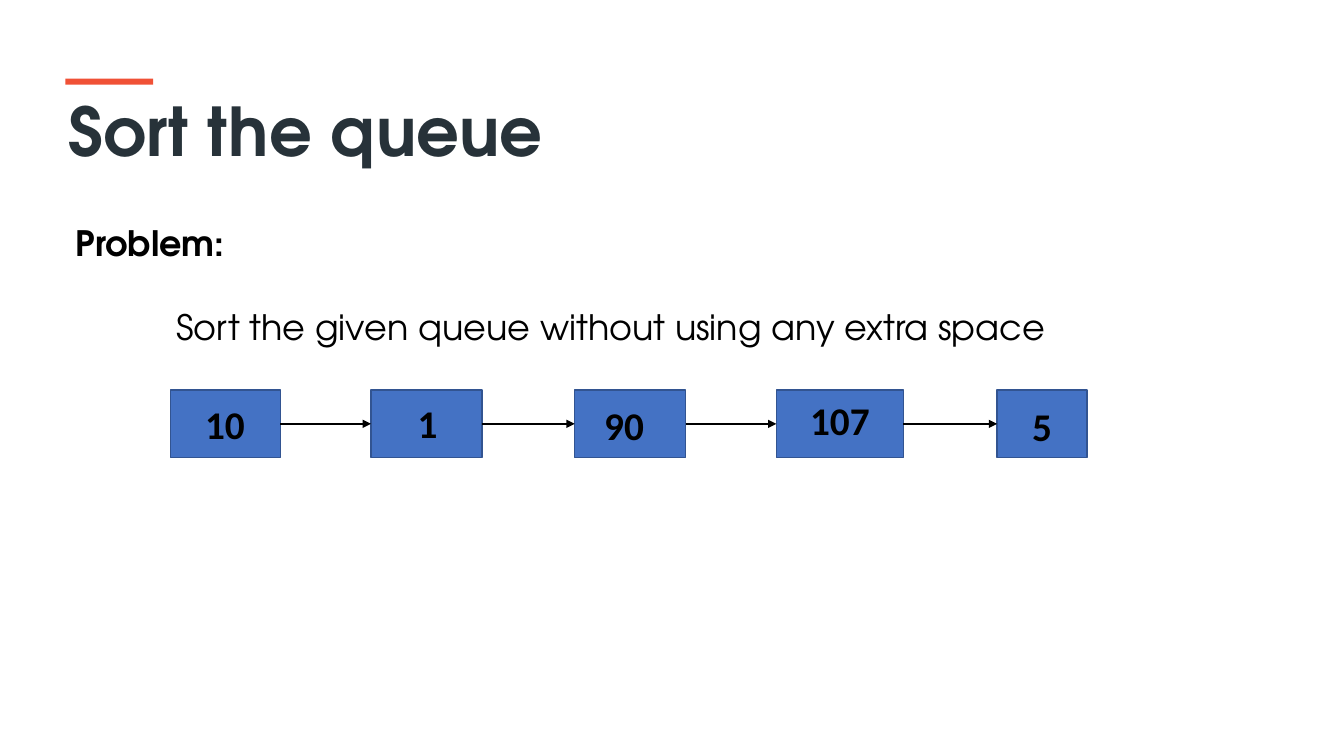
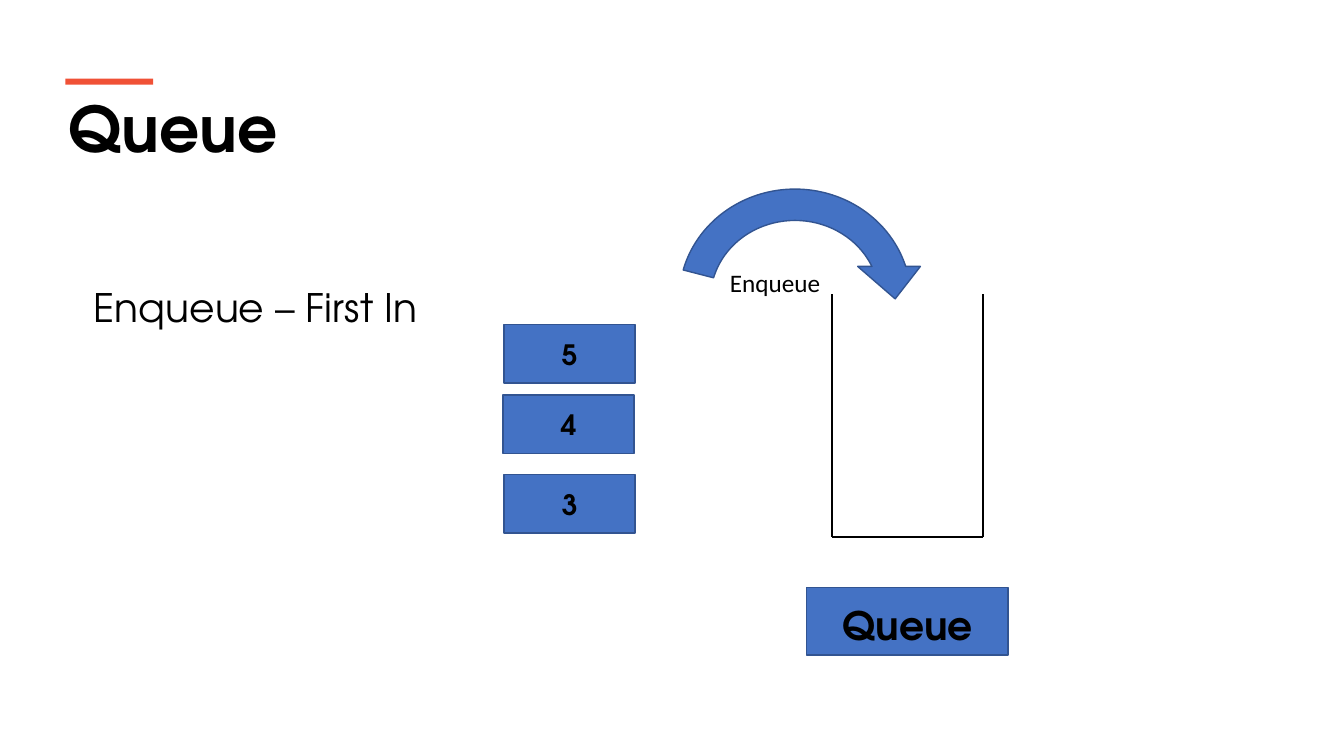
from lxml import etree
from pptx import Presentation
from pptx.dml.color import RGBColor
from pptx.enum.shapes import MSO_CONNECTOR, MSO_SHAPE
from pptx.enum.text import MSO_ANCHOR, MSO_AUTO_SIZE, PP_ALIGN
from pptx.oxml.ns import qn
from pptx.util import Pt

RECT, CURVE = MSO_SHAPE.RECTANGLE, MSO_SHAPE.CIRCULAR_ARROW
LEFT, MID = PP_ALIGN.LEFT, PP_ALIGN.CENTER
TOP, MIDDLE = MSO_ANCHOR.TOP, MSO_ANCHOR.MIDDLE
STRAIGHT, FIXED = MSO_CONNECTOR.STRAIGHT, MSO_AUTO_SIZE.NONE
PX = 9144
HEX = {"ink": "000000", "slate": "273239", "accent": "F05136",
       "blue": "4472C4", "edge": "325491"}
RGB = {name: RGBColor.from_string(code) for name, code in HEX.items()}
SANS, ROUND = "Calibri", "TeX Gyre Adventor"
HEAD = {"name": ROUND, "bold": True}
BODY = {"name": ROUND, "bold": False}
NODE = {"name": SANS, "bold": True, "size": Pt(28)}
ITEM = {"name": ROUND, "bold": True, "size": Pt(20)}


def box(slide, at, kind=RECT, fill="blue", edge="edge"):
    shape = slide.shapes.add_shape(kind, *[n * PX for n in at])
    shape.shadow.inherit = False
    shape.fill.solid()
    shape.fill.fore_color.rgb = RGB[fill]
    if edge:
        shape.line.color.rgb = RGB[edge]
        shape.line.width = Pt(1)
    else:
        shape.line.fill.background()
    return shape


def write(shape, rows, align=LEFT, anchor=TOP, hue="ink"):
    frame = shape.text_frame
    frame.word_wrap = True
    frame.auto_size = FIXED
    frame.vertical_anchor = anchor
    for i, (words, style) in enumerate(rows):
        para = frame.add_paragraph() if i else frame.paragraphs[0]
        para.alignment = align
        run = para.add_run()
        run.text = words
        run.font.color.rgb = RGB[hue]
        for key, value in style.items():
            setattr(run.font, key, value)


deck = Presentation()
deck.slide_width, deck.slide_height = 1333 * PX, 750 * PX
layout = deck.slide_layouts[1]

pages = [
    ("Sort the queue", 48, "slate", (65, 215, 1214, 150),
     [("Problem:", HEAD | {"size": Pt(25)}),
      ("Sort the given queue without using any extra space",
       BODY | {"size": Pt(25)})]),
    ("Queue", 45, "ink", (83, 276, 360, 57),
     [("Enqueue – First In", BODY | {"size": Pt(28)})]),
]
slides = []
for name, size, hue, at, rows in pages:
    slide = deck.slides.add_slide(layout)
    title, body = slide.placeholders
    for shape, spot in ((title, (58, 84, 1218, 91)), (body, at)):
        shape.left, shape.top, shape.width, shape.height = [n * PX for n in spot]
    write(title, [(name, HEAD | {"size": Pt(size)})], hue=hue)
    write(body, rows)
    for i, para in enumerate(body.text_frame.paragraphs):
        props = para._p.get_or_add_pPr()
        props.set("marL", str(i * 100 * PX))
        props.set("indent", "0")
        etree.SubElement(props, qn("a:buNone"))
        para.space_before = Pt(30 * i)
    box(slide, (65, 78, 87, 6), fill="accent", edge=None)
    slides.append(slide)
sort, queue = slides

nodes = [
    ("10", 169, 109, (177, 392, 92, 57)),
    ("1", 368, 110, (379, 391, 90, 57)),
    ("90", 570, 110, (574, 393, 90, 57)),
    ("107", 770, 126, (787, 388, 92, 57)),
    ("5", 989, 89, (1006, 394, 55, 57)),
]
labels = [(sort, at, words, NODE, MID) for words, _, _, at in nodes]
cells = [box(sort, (x, 387, wide, 67)) for _, x, wide, _ in nodes]
wires = []
for start, end in zip(cells, cells[1:]):
    wire = sort.shapes.add_connector(STRAIGHT, 0, 0, 0, 0)
    wire.begin_connect(start, 3)
    wire.end_connect(end, 1)
    wires.append((wire, True))

for ends in ((825, 292, 825, 533), (975, 292, 975, 533), (975, 533, 825, 533)):
    wire = queue.shapes.add_connector(STRAIGHT, *[n * PX for n in ends])
    wires.append((wire, False))

for wire, head in wires:
    wire.line.color.rgb = RGB["ink"]
    wire.line.width = Pt(1.5)
    if head:
        etree.SubElement(wire.line._get_or_add_ln(), qn("a:tailEnd"), type="triangle")
    etree.SubElement(wire._element.spPr, qn("a:effectLst"))

for words, x, y in (("5", 500, 322), ("4", 499, 392), ("3", 500, 471)):
    write(box(queue, (x, y, 130, 58)), [(words, ITEM)], MID, MIDDLE)

curve = box(queue, (658, 172, 261, 249), CURVE)
for i, value in enumerate((0.125, 11.423, 204.577, 116.698, 0.125)):
    curve.adjustments[i] = value

box(queue, (800, 583, 200, 67))
labels += [
    (queue, (817, 592, 167, 57), "Queue", HEAD | {"size": Pt(28)}, MID),
    (queue, (714, 260, 115, 40), "Enqueue", {"name": SANS, "size": Pt(18)}, LEFT),
]
for slide, at, words, style, align in labels:
    label = slide.shapes.add_textbox(*[n * PX for n in at])
    write(label, [(words, style)], align)

deck.save("out.pptx")
